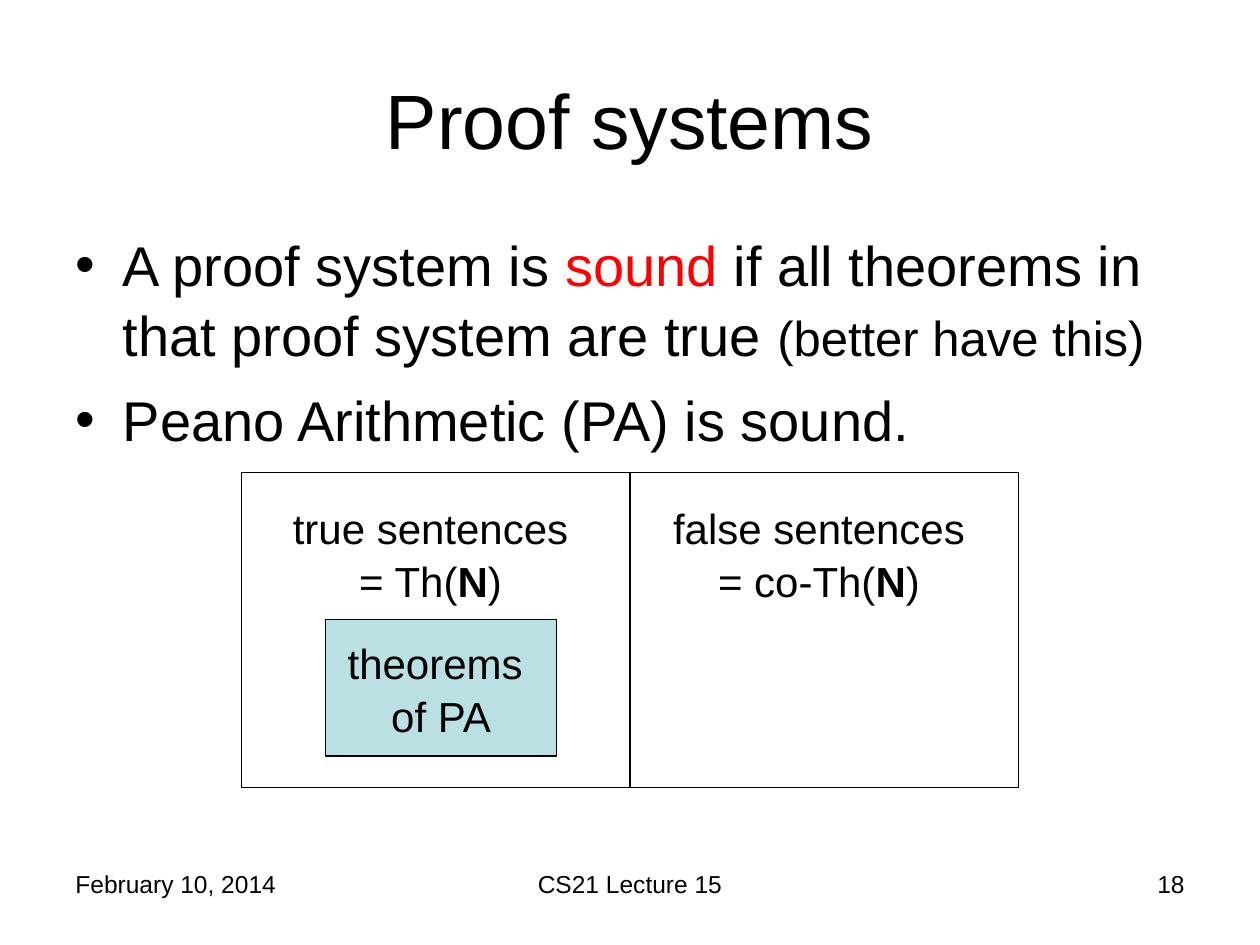
from dataclasses import dataclass
from typing import NamedTuple

from pptx import Presentation
from pptx.dml.color import RGBColor
from pptx.enum.shapes import MSO_SHAPE
from pptx.enum.text import MSO_ANCHOR, MSO_AUTO_SIZE, PP_ALIGN
from pptx.util import Pt

LEFT, CENTER, RIGHT = PP_ALIGN.LEFT, PP_ALIGN.CENTER, PP_ALIGN.RIGHT
TOP, MIDDLE = MSO_ANCHOR.TOP, MSO_ANCHOR.MIDDLE
RECTANGLE = MSO_SHAPE.RECTANGLE
NO_AUTOFIT = MSO_AUTO_SIZE.NONE


@dataclass(frozen=True)
class Theme:
    font: str = "Arial"
    ink: RGBColor = RGBColor(0, 0, 0)
    accent: RGBColor = RGBColor(0xFF, 0, 0)
    theorem_fill: RGBColor = RGBColor(0xBB, 0xE0, 0xE3)
    title: int = 44
    bullet: int = 32
    aside: int = 28
    label: int = 24
    footer: int = 14
    outline: float = 0.75
    line_spacing: float = 1.05


class Box(NamedTuple):
    left: float
    top: float
    width: float
    height: float


class Span(NamedTuple):
    text: str
    size: int
    color: RGBColor
    bold: bool = False


class Footer(NamedTuple):
    text: str
    box: Box
    align: PP_ALIGN


class Region(NamedTuple):
    kind: str
    theory: str


THEME = Theme()
REGION_LEFT, REGION_TOP, REGION_WIDTH, REGION_HEIGHT = 138, 270, 222, 180

FOOTERS = [
    Footer("February 10, 2014", Box(36, 492, 168, 37.5), LEFT),
    Footer("CS21 Lecture 15", Box(246, 492, 228, 37.5), CENTER),
    Footer("18", Box(516, 492, 168, 37.5), RIGHT),
]
BULLETS = [
    [
        Span("A proof system is ", THEME.bullet, THEME.ink),
        Span("sound ", THEME.bullet, THEME.accent),
        Span("if all theorems in that proof system are true ", THEME.bullet, THEME.ink),
        Span("(better have this)", THEME.aside, THEME.ink),
    ],
    [Span("Peano Arithmetic (PA) is sound.", THEME.bullet, THEME.ink)],
]
REGIONS = [Region("true sentences", "Th"), Region("false sentences", "co-Th")]


def apply(target, values: dict) -> None:
    for name, value in values.items():
        setattr(target, name, value)


def place(shape, box: Box) -> None:
    apply(shape, {name: Pt(value) for name, value in box._asdict().items()})


def write(shape, paragraphs: list[list[Span]], align: PP_ALIGN,
          anchor: MSO_ANCHOR = TOP, gap: float = 0, wrap: bool = True) -> None:
    frame = shape.text_frame
    apply(frame, {"word_wrap": wrap, "auto_size": NO_AUTOFIT, "vertical_anchor": anchor})
    for index, spans in enumerate(paragraphs):
        paragraph = frame.add_paragraph() if index else frame.paragraphs[0]
        apply(paragraph, {
            "alignment": align,
            "space_before": Pt(gap if index else 0),
            "line_spacing": THEME.line_spacing,
        })
        for span in spans:
            run = paragraph.add_run()
            run.text = span.text
            apply(run.font, {"name": THEME.font, "size": Pt(span.size), "bold": span.bold})
            run.font.color.rgb = span.color


def add_text(slide, box: Box, paragraphs: list[list[Span]], align: PP_ALIGN) -> None:
    write(slide.shapes.add_textbox(*map(Pt, box)), paragraphs, align)


def add_rectangle(slide, box: Box, fill: RGBColor | None = None):
    rectangle = slide.shapes.add_shape(RECTANGLE, *map(Pt, box))
    rectangle.shadow.inherit = False
    if fill is None:
        rectangle.fill.background()
    else:
        rectangle.fill.solid()
        rectangle.fill.fore_color.rgb = fill
    rectangle.line.color.rgb = THEME.ink
    rectangle.line.width = Pt(THEME.outline)
    return rectangle


def add_region_label(slide, region: Region, left: float) -> None:
    spans = [
        Span(f"{region.kind} = {region.theory}(", THEME.label, THEME.ink),
        Span("N", THEME.label, THEME.ink, bold=True),
        Span(")", THEME.label, THEME.ink),
    ]
    add_text(slide, Box(left + 12, REGION_TOP + 12, 192, 65), [spans], CENTER)


def main() -> None:
    deck = Presentation()
    apply(deck, {"slide_width": Pt(720), "slide_height": Pt(540)})
    slide = deck.slides.add_slide(deck.slide_layouts[1])

    title, body = slide.placeholders
    place(title, Box(36, 21.5, 648, 90))
    write(title, [[Span("Proof systems", THEME.title, THEME.ink)]], CENTER, MIDDLE)
    place(body, Box(36, 126, 648, 138))
    write(body, BULLETS, LEFT, gap=8)

    for footer in FOOTERS:
        add_text(slide, footer.box, [[Span(footer.text, THEME.footer, THEME.ink)]], footer.align)

    region_lefts = [REGION_LEFT + index * REGION_WIDTH for index in range(len(REGIONS))]
    for left in region_lefts:
        add_rectangle(slide, Box(left, REGION_TOP, REGION_WIDTH, REGION_HEIGHT))
    for region, left in zip(REGIONS, region_lefts):
        add_region_label(slide, region, left)

    theorems = add_rectangle(slide, Box(186, 354, 132, 78), THEME.theorem_fill)
    theorem_lines = [[Span(line, THEME.label, THEME.ink)] for line in ("theorems ", "of PA")]
    write(theorems, theorem_lines, CENTER, MIDDLE, wrap=False)

    deck.save("out.pptx")


if __name__ == "__main__":
    main()
